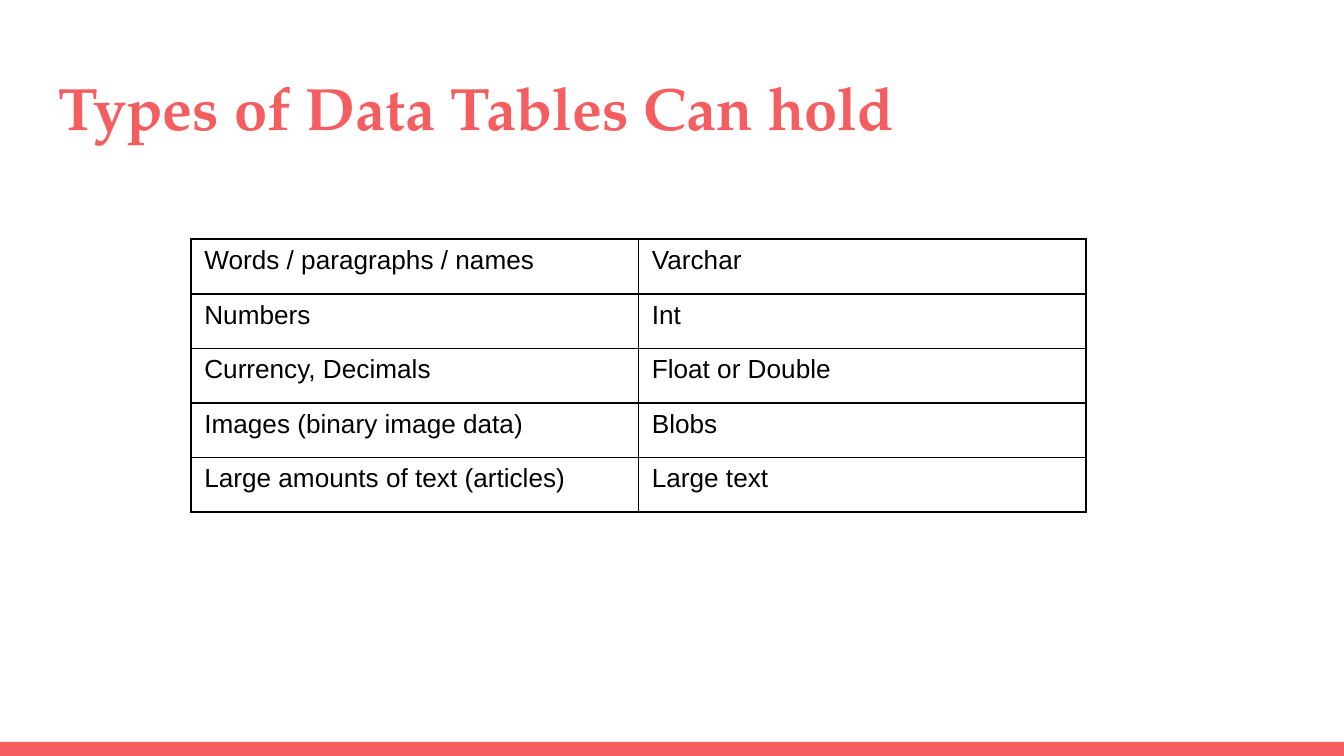
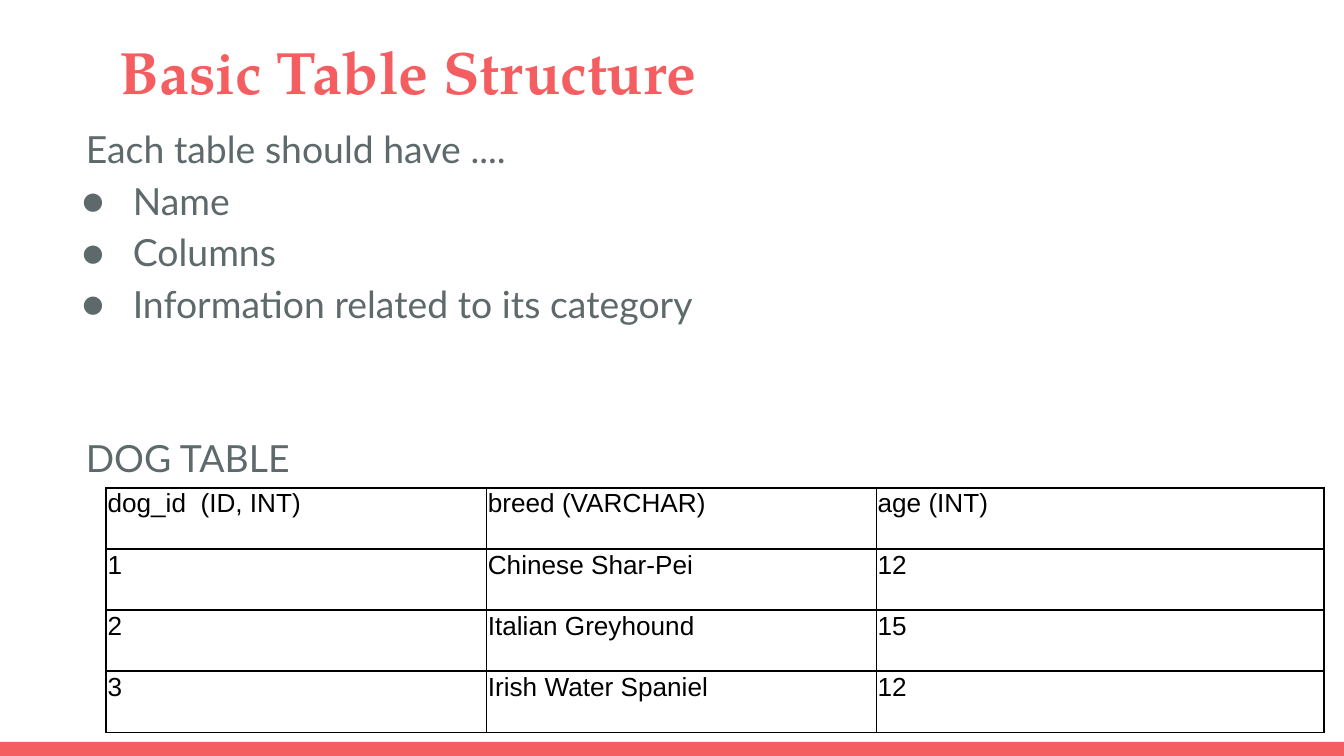
from dataclasses import dataclass

from pptx import Presentation
from pptx import util as u
from pptx.dml.color import RGBColor
from pptx.enum import shapes, text
from pptx.oxml import ns
from lxml import etree


@dataclass(frozen=True)
class Theme:
    coral: str = "F55E61"
    slate: str = "5E696C"
    black: str = "000000"
    title_font: str = "TeX Gyre Pagella"
    body_font: str = "Lato"
    table_font: str = "Arial"
    title_size: int = 32
    body_size: int = 20
    table_size: int = 14
    border: int = 1
    line_spacing: float = 1.15


class DeckBuilder:
    def __init__(self, theme, width, height):
        self.theme = theme
        self.deck = Presentation()
        self.deck.slide_width = u.Inches(width)
        self.deck.slide_height = u.Inches(height)
        self.page = None

    # Shared parts
    def add_page(self, title, left, top, width, height):
        self.page = self.deck.slides.add_slide(self.deck.slide_layouts[6])
        self.add_band(0, 5.52, 10, 0.11)
        frame = self.add_frame(left, top, width, height)
        self.add_span(frame.paragraphs[0], title, self.theme.title_font,
                      self.theme.title_size, self.theme.coral, bold=True)

    def add_band(self, *place):
        band = self.page.shapes.add_shape(
            shapes.MSO_SHAPE.RECTANGLE, *map(u.Inches, place))
        band.shadow.inherit = False
        band.fill.solid()
        band.fill.fore_color.rgb = RGBColor.from_string(self.theme.coral)
        band.line.fill.background()

    # Text
    def add_frame(self, *place):
        box = self.page.shapes.add_textbox(*map(u.Inches, place))
        frame = box.text_frame
        frame.word_wrap = True
        frame.vertical_anchor = text.MSO_ANCHOR.TOP
        frame.margin_left = frame.margin_right = u.Inches(0.1)
        frame.margin_top = frame.margin_bottom = u.Inches(0.1)
        return frame

    def add_span(self, para, words, font, size, color, bold=False):
        span = para.add_run()
        span.text = words
        span.font.name = font
        span.font.size = u.Pt(size)
        span.font.bold = bold
        span.font.color.rgb = RGBColor.from_string(color)

    def add_body(self, lines, *place):
        """Each line is (words, bulleted, points of space before)."""
        frame = self.add_frame(*place)
        for index, (words, bulleted, space) in enumerate(lines):
            para = frame.add_paragraph() if index else frame.paragraphs[0]
            para.line_spacing = self.theme.line_spacing
            para.space_before = u.Pt(space)
            self.set_indent(para, bulleted)
            self.add_span(para, words, self.theme.body_font,
                          self.theme.body_size, self.theme.slate)

    def set_indent(self, para, bulleted):
        left, first = (0.5, -0.38) if bulleted else (0.15, 0)
        props = para._p.get_or_add_pPr()
        props.set("marL", str(u.Inches(left)))
        props.set("indent", str(u.Inches(first)))
        if bulleted:
            color = etree.SubElement(props, ns.qn("a:buClr"))
            etree.SubElement(color, ns.qn("a:srgbClr"), val=self.theme.slate)
            etree.SubElement(props, ns.qn("a:buFont"),
                             typeface=self.theme.body_font)
            etree.SubElement(props, ns.qn("a:buChar"), char="●")

    # Tables
    def add_table(self, rows, left, top, height, columns, margins):
        frame = self.page.shapes.add_table(
            len(rows), len(columns), u.Inches(left), u.Inches(top),
            u.Inches(sum(columns)), u.Inches(height))
        table = frame.table
        table.first_row = table.horz_banding = False
        for column, width in zip(table.columns, columns):
            column.width = u.Inches(width)
        for row, values in zip(table.rows, rows):
            row.height = u.Inches(height / len(rows))
            for cell, words in zip(row.cells, values):
                self.fill_cell(cell, words, margins)

    def fill_cell(self, cell, words, margins):
        (cell.margin_left, cell.margin_top,
         cell.margin_right, cell.margin_bottom) = map(u.Inches, margins)
        self.add_borders(cell)
        cell.fill.background()
        self.add_span(cell.text_frame.paragraphs[0], words,
                      self.theme.table_font, self.theme.table_size,
                      self.theme.black)

    def add_borders(self, cell):
        props = cell._tc.get_or_add_tcPr()
        for side in ("lnL", "lnR", "lnT", "lnB"):
            line = etree.SubElement(props, ns.qn(f"a:{side}"),
                                    w=str(u.Pt(self.theme.border)))
            fill = etree.SubElement(line, ns.qn("a:solidFill"))
            etree.SubElement(fill, ns.qn("a:srgbClr"), val=self.theme.black)


def main():
    # Widescreen page, 16 to 9
    builder = DeckBuilder(Theme(), 10, 10 * 9 / 16)

    # Data types
    builder.add_page("Types of Data Tables Can hold", 0.34, 0.43, 9.32, 0.68)
    data_types = [
        ("Words / paragraphs / names", "Varchar"),
        ("Numbers", "Int"),
        ("Currency, Decimals", "Float or Double"),
        ("Images (binary image data)", "Blobs"),
        ("Large amounts of text (articles)", "Large text"),
    ]
    builder.add_table(data_types, 1.42, 1.78, 2.03, [3.33, 3.33],
                      margins=(0.1, 0.05, 0.1, 0.05))

    # Table structure
    builder.add_page("Basic Table Structure", 0.79, 0.16, 8.43, 0.62)
    requirements = [
        ("Each table should have ....", False, 0),
        ("Name", True, 0),
        ("Columns", True, 0),
        ("Information related to its category", True, 0),
        ("DOG TABLE", False, 55.2),
    ]
    builder.add_body(requirements, 0.39, 0.79, 8.43, 1.14)
    dogs = [
        ("dog_id  (ID, INT)", "breed (VARCHAR)", "age (INT)"),
        ("1", "Chinese Shar-Pei", "12"),
        ("2", "Italian Greyhound", "15"),
        ("3", "Irish Water Spaniel", "12"),
    ]
    builder.add_table(dogs, 0.79, 3.63, 1.82, [2.83, 2.9, 3.33],
                      margins=(0.01, 0.01, 0.01, 0))

    builder.deck.save("out.pptx")


if __name__ == "__main__":
    main()
